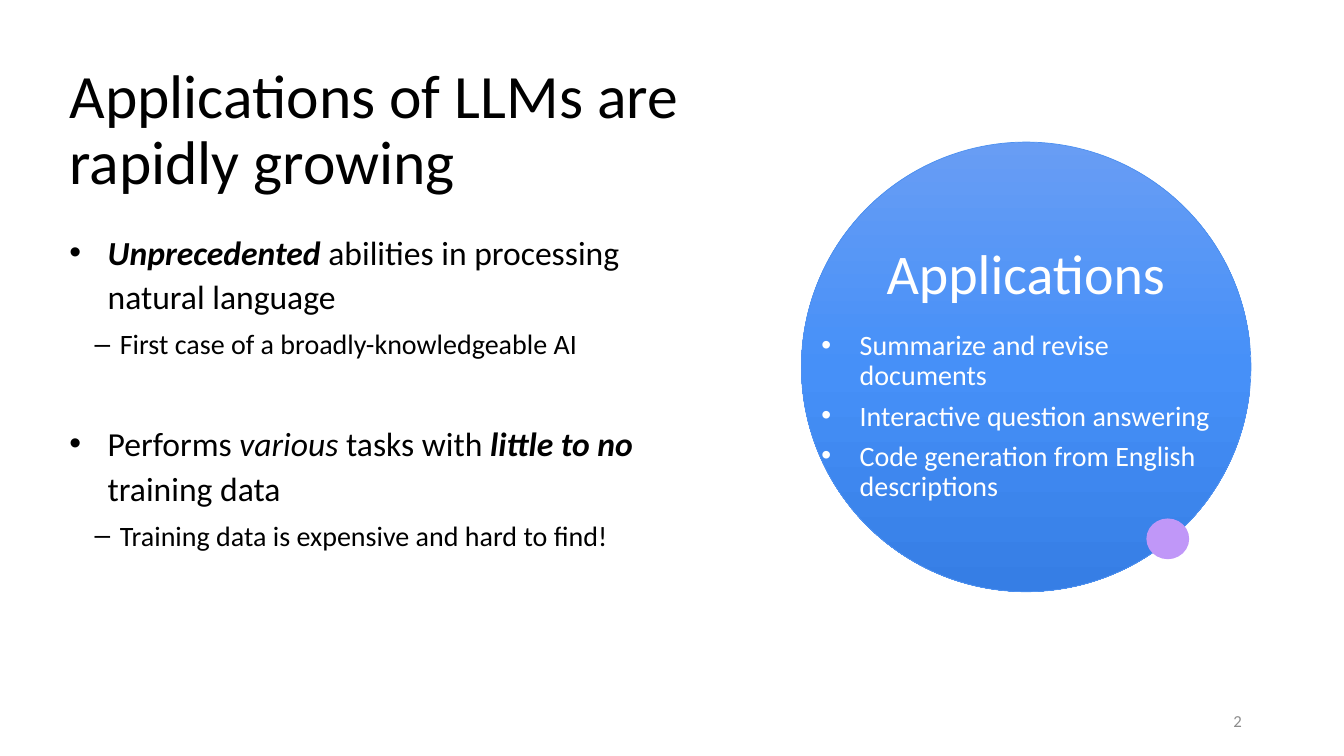
"""Build a slide on the growing applications of large language models."""
from dataclasses import dataclass
from lxml.etree import SubElement
from pptx import Presentation
from pptx.dml.color import RGBColor
from pptx.enum.shapes import MSO_SHAPE
from pptx.enum.text import MSO_ANCHOR, PP_ALIGN
from pptx.oxml.ns import qn
from pptx.util import Inches, Pt


@dataclass(frozen=True)
class Theme:
    font: str = "Calibri"
    ink: str = "000000"
    light: str = "FFFFFF"
    muted: str = "8C8C8C"
    rim: str = "4E91F0"
    accent: str = "C097F8"
    gradient: tuple = ((0, "689DF4"), (50, "4690F8"), (100, "367EE5"))
    title: int = 44
    heading: int = 40
    body: int = 24
    detail: int = 20
    number: int = 12


theme = Theme()
deck = Presentation()
deck.slide_width, deck.slide_height = Inches(13.333), Inches(7.5)
slide = deck.slides.add_slide(deck.slide_layouts[6])


def area(left, top, width, height):
    """Turn percentages of the slide into a position and a size."""
    across, down = deck.slide_width / 100, deck.slide_height / 100
    return int(left * across), int(top * down), int(width * across), int(height * down)


def write(paragraph, runs, size, color, bullet=None, indent=0, hang=0):
    """Add (text, bold, italic) runs and an optional hanging bullet."""
    for text, bold, italic in runs:
        run = paragraph.add_run()
        run.text = text
        run.font.name, run.font.size = theme.font, Pt(size)
        run.font.bold, run.font.italic = bold, italic
        run.font.color.rgb = RGBColor.from_string(color)
    if bullet:
        properties = paragraph._p.get_or_add_pPr()
        properties.set("marL", str(Inches(indent)))
        properties.set("indent", str(-Inches(hang)))
        SubElement(properties, qn("a:buFont"), typeface="Arial")
        SubElement(properties, qn("a:buChar"), char=bullet)


left_column = 4.43, 47.63

title = slide.shapes.add_textbox(*area(left_column[0], 5.33, left_column[1], 24.13)).text_frame
title.word_wrap, title.vertical_anchor = True, MSO_ANCHOR.MIDDLE
title.paragraphs[0].line_spacing = 0.9
write(title.paragraphs[0], [("Applications of LLMs are rapidly growing", False, False)],
      theme.title, theme.ink)

claims = [
    (10, [("Unprecedented", True, True),
          (" abilities in processing natural language", False, False)],
     "First case of a broadly-knowledgeable AI"),
    (42, [("Performs ", False, False), ("various", False, True),
          (" tasks with ", False, False), ("little to no ", True, True),
          ("training data", False, False)],
     "Training data is expensive and hard to find!"),
]
body = slide.shapes.add_textbox(*area(left_column[0], 29.47, left_column[1], 60.53)).text_frame
body.word_wrap = True
for order, (gap, claim, detail) in enumerate(claims):
    main_point = body.add_paragraph() if order else body.paragraphs[0]
    main_point.line_spacing, main_point.space_before = 1.1, Pt(gap)
    write(main_point, claim, theme.body, theme.ink, "•", 0.38, 0.38)
    sub_point = body.add_paragraph()
    sub_point.level = 1
    sub_point.line_spacing, sub_point.space_before = 1.1, Pt(5)
    write(sub_point, [(detail, False, False)], theme.detail, theme.ink, "–", 0.5, 0.25)

page_number = slide.shapes.add_textbox(*area(70.65, 92.67, 22.5, 5.33)).text_frame
page_number.word_wrap, page_number.vertical_anchor = True, MSO_ANCHOR.MIDDLE
page_number.paragraphs[0].alignment = PP_ALIGN.RIGHT
write(page_number.paragraphs[0], [("2", False, False)], theme.number, theme.muted)

circle = slide.shapes.add_shape(MSO_SHAPE.OVAL, *area(59.63, 18.8, 33.45, 59.47))
circle.shadow.inherit = False
circle.fill.gradient()
circle.fill.gradient_angle = 270
stops = circle._element.spPr.find(qn("a:gradFill")).find(qn("a:gsLst"))
for stop in list(stops):
    stops.remove(stop)
for share, color in theme.gradient:
    stop = SubElement(stops, qn("a:gs"), pos=str(share * 1000))
    SubElement(stop, qn("a:srgbClr"), val=color)
circle.line.color.rgb = RGBColor.from_string(theme.rim)
circle.line.width = Pt(0.5)

dot = slide.shapes.add_shape(MSO_SHAPE.OVAL, *area(85.35, 68.67, 3.08, 5.2))
dot.shadow.inherit = False
dot.fill.solid()
dot.fill.fore_color.rgb = RGBColor.from_string(theme.accent)
dot.line.color.rgb = RGBColor.from_string(theme.accent)
dot.line.width = Pt(1)

heading = slide.shapes.add_textbox(*area(61.28, 30.93, 30.08, 10.27)).text_frame
heading.word_wrap = True
heading.paragraphs[0].alignment = PP_ALIGN.CENTER
write(heading.paragraphs[0], [("Applications", False, False)], theme.heading, theme.light)

applications = [
    "Summarize and revise documents",
    "Interactive question answering",
    "Code generation from English descriptions",
]
examples = slide.shapes.add_textbox(*area(60.38, 43.2, 32.03, 20.67)).text_frame
examples.word_wrap = True
for order, application in enumerate(applications):
    example = examples.add_paragraph() if order else examples.paragraphs[0]
    example.line_spacing, example.space_after = 0.9, Pt(7)
    write(example, [(application, False, False)], theme.detail, theme.light, "•", 0.38, 0.38)

deck.save("out.pptx")
